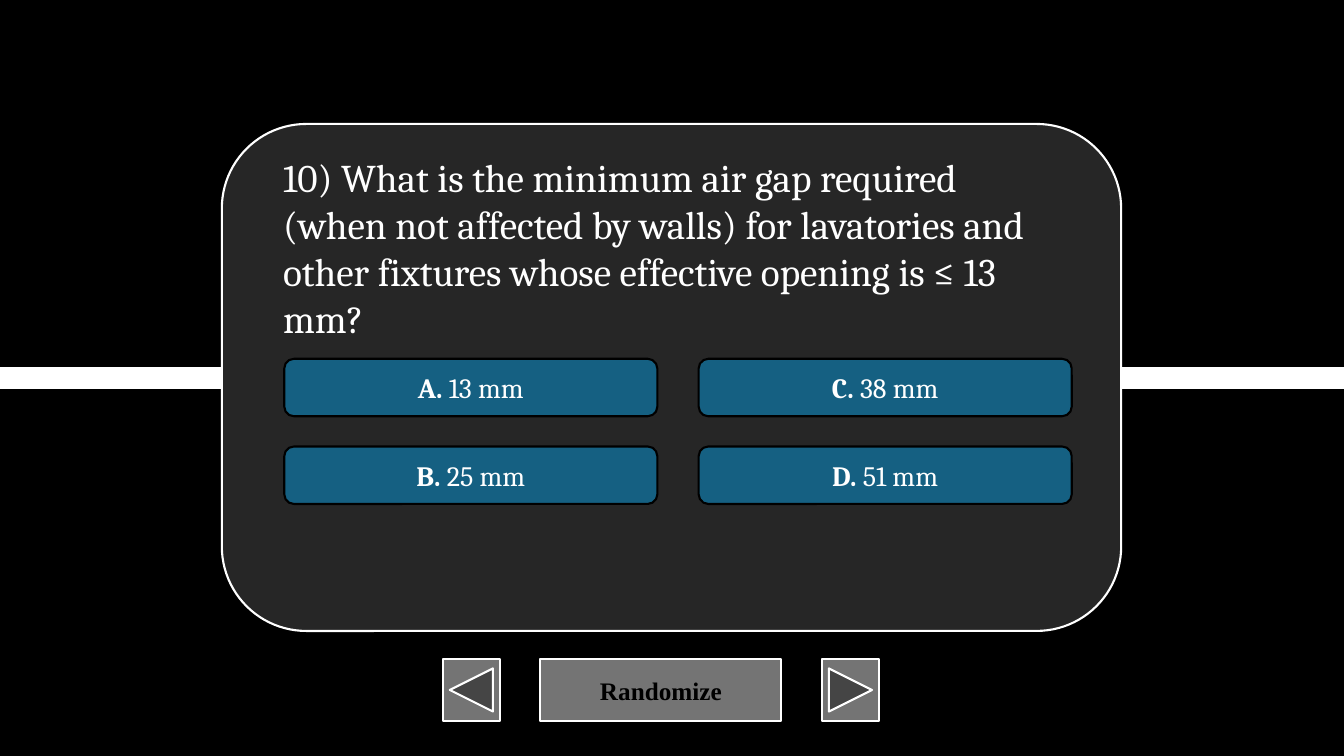
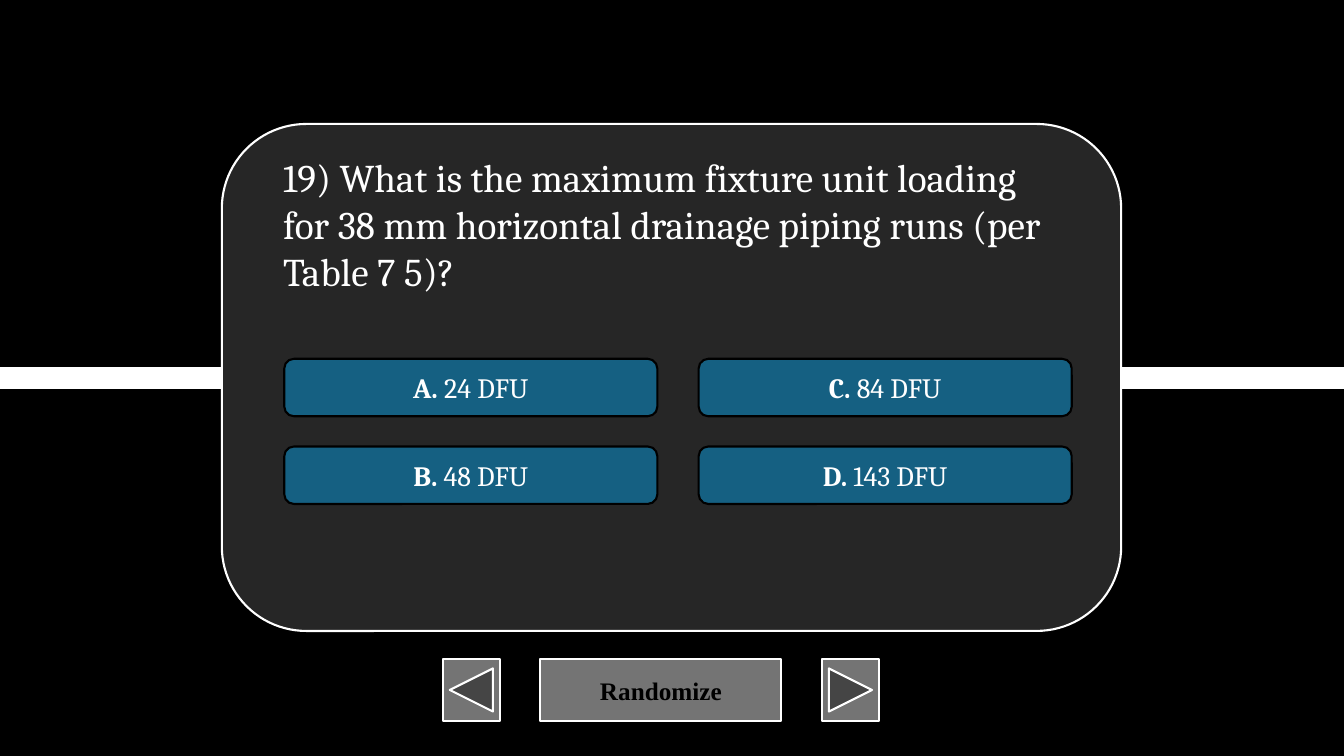
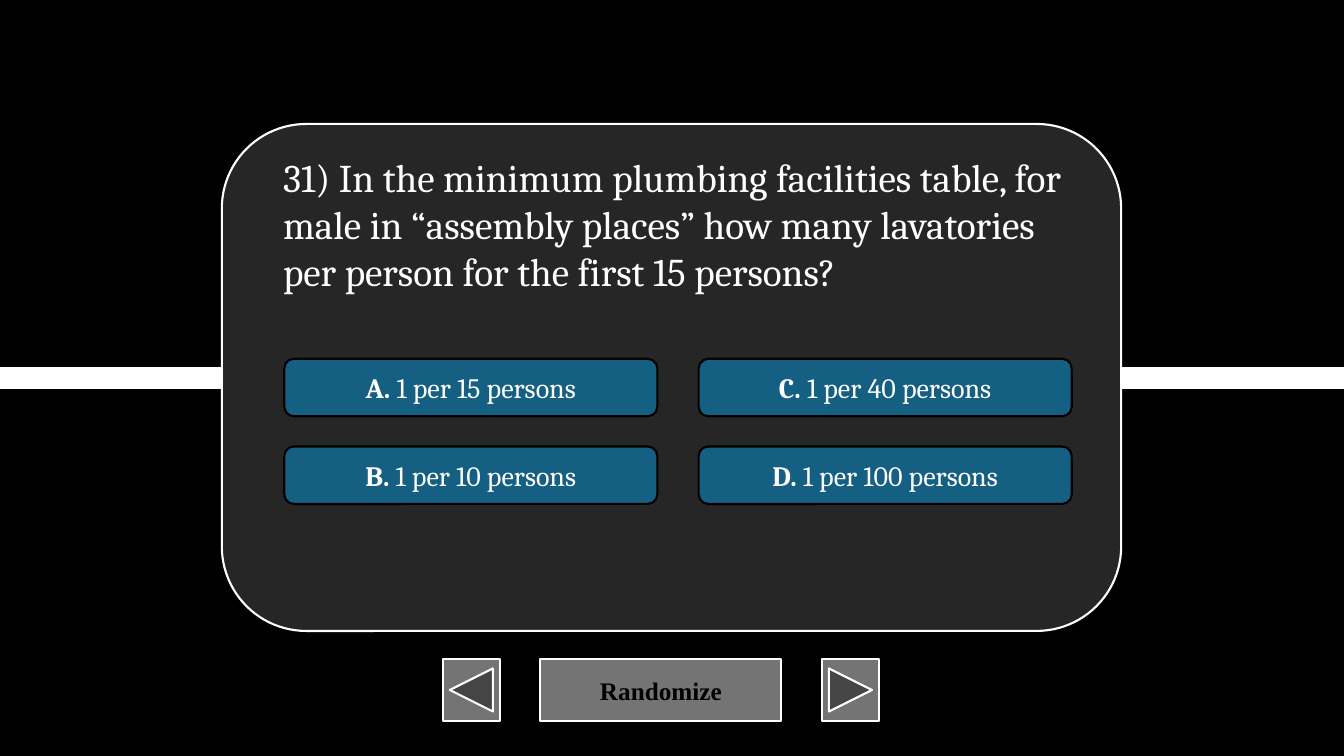
from dataclasses import dataclass

from lxml import etree
from pptx import Presentation
from pptx.dml.color import RGBColor
from pptx.enum.shapes import MSO_CONNECTOR as CONNECTOR, MSO_SHAPE as SHAPE
from pptx.enum.text import MSO_ANCHOR as ANCHOR, PP_ALIGN as ALIGN
from pptx.oxml.ns import qn
from pptx.util import Inches, Pt


@dataclass(frozen=True)
class Theme:
    background: str = "000000"
    dark: str = "000000"
    light: str = "FFFFFF"
    card: str = "262626"
    answer: str = "156082"
    button: str = "747474"
    body_font: str = "Cambria"
    button_font: str = "Times New Roman"
    question_size: float = 28
    answer_size: float = 20
    button_size: float = 18
    outline: float = 1.5
    band: float = 16


@dataclass(frozen=True)
class Grid:
    """Equal cells, addressed by column and row, in inches."""
    left: float
    top: float
    width: float
    height: float
    col_gap: float
    row_gap: float

    def cell(self, col, row):
        return (self.left + col * (self.width + self.col_gap),
                self.top + row * (self.height + self.row_gap),
                self.width, self.height)


THEME = Theme()
SLIDE_W, SLIDE_H = 13.33, 7.5
CARD = (2.2, 1.23, 8.92, 5.03)
QUESTION = (2.71, 1.47, 7.92, 1.99)
ANSWERS = Grid(left=2.82, top=3.56, width=3.7, height=0.57, col_gap=0.41, row_gap=0.3)
ANSWER_ROWS = 2

NAV_LEFT, NAV_TOP, NAV_HEIGHT, NAV_GAP = 4.39, 6.54, 0.61, 0.4
NAV_BUTTONS = [
    (SHAPE.ACTION_BUTTON_BACK_OR_PREVIOUS, 0.57, ""),
    (SHAPE.ACTION_BUTTON_CUSTOM, 2.39, "Randomize"),
    (SHAPE.ACTION_BUTTON_FORWARD_OR_NEXT, 0.57, ""),
]

QUIZ = [
    ("10) What is the minimum air gap required (when not affected by walls) for "
     "lavatories and other fixtures whose effective opening is ≤ 13 mm?",
     ["13 mm", "25 mm", "38 mm", "51 mm"]),
    ("19) What is the maximum fixture unit loading for 38 mm horizontal drainage "
     "piping runs (per Table 7 5)?",
     ["24 DFU", "48 DFU", "84 DFU", "143 DFU"]),
    ("31) In the minimum plumbing facilities table, for male in “assembly places” "
     "how many lavatories per person for the first 15 persons?",
     ["1 per 15 persons", "1 per 10 persons", "1 per 40 persons", "1 per 100 persons"]),
]


def rgb(value):
    return RGBColor.from_string(value)


def set_font(font, name, size, color):
    font.name = name
    font.size = Pt(size)
    font.color.rgb = rgb(color)


def add_panel(s, kind, box, fill, line):
    sp = s.shapes.add_shape(kind, *map(Inches, box))
    sp.shadow.inherit = False
    sp.fill.solid()
    sp.fill.fore_color.rgb = rgb(fill)
    sp.line.color.rgb = rgb(line)
    sp.line.width = Pt(THEME.outline)
    return sp


def centred_paragraph(sp):
    sp.text_frame.vertical_anchor = ANCHOR.MIDDLE
    p = sp.text_frame.paragraphs[0]
    p.alignment = ALIGN.CENTER
    return p


def add_band(s):
    """White stripe across the middle of the slide, behind the card."""
    middle = Inches(SLIDE_H / 2)
    band = s.shapes.add_connector(CONNECTOR.STRAIGHT, 0, middle, Inches(SLIDE_W), middle)
    band.line.color.rgb = rgb(THEME.light)
    band.line.width = Pt(THEME.band)
    etree.SubElement(band._element.spPr, qn("a:effectLst"))


def add_navigation(s):
    left = NAV_LEFT
    for kind, width, label in NAV_BUTTONS:
        sp = add_panel(s, kind, (left, NAV_TOP, width, NAV_HEIGHT),
                       THEME.button, THEME.light)
        if label:
            p = centred_paragraph(sp)
            p.text = label
            set_font(p.font, THEME.button_font, THEME.button_size, THEME.dark)
            p.font.bold = True
        left += width + NAV_GAP


def add_question(s, text):
    tf = s.shapes.add_textbox(*map(Inches, QUESTION)).text_frame
    tf.word_wrap = True
    p = tf.paragraphs[0]
    p.text = text
    set_font(p.font, THEME.body_font, THEME.question_size, THEME.light)


def add_answer(s, box, letter, text):
    sp = add_panel(s, SHAPE.ROUNDED_RECTANGLE, box, THEME.answer, THEME.dark)
    p = centred_paragraph(sp)
    set_font(p.font, THEME.body_font, THEME.answer_size, THEME.light)
    r = p.add_run()
    r.text = f"{letter}. "
    r.font.bold = True
    p.add_run().text = text


def add_quiz_slide(prs, question, answers):
    s = prs.slides.add_slide(prs.slide_layouts[6])
    add_band(s)
    add_navigation(s)
    add_panel(s, SHAPE.ROUNDED_RECTANGLE, CARD, THEME.card, THEME.light)
    for i, (letter, text) in enumerate(zip("ABCD", answers)):
        add_answer(s, ANSWERS.cell(*divmod(i, ANSWER_ROWS)), letter, text)
    add_question(s, question)


def main():
    prs = Presentation()
    prs.slide_width, prs.slide_height = Inches(SLIDE_W), Inches(SLIDE_H)
    background = prs.slide_master.background.fill
    background.solid()
    background.fore_color.rgb = rgb(THEME.background)
    for question, answers in QUIZ:
        add_quiz_slide(prs, question, answers)
    prs.save("out.pptx")


if __name__ == "__main__":
    main()
